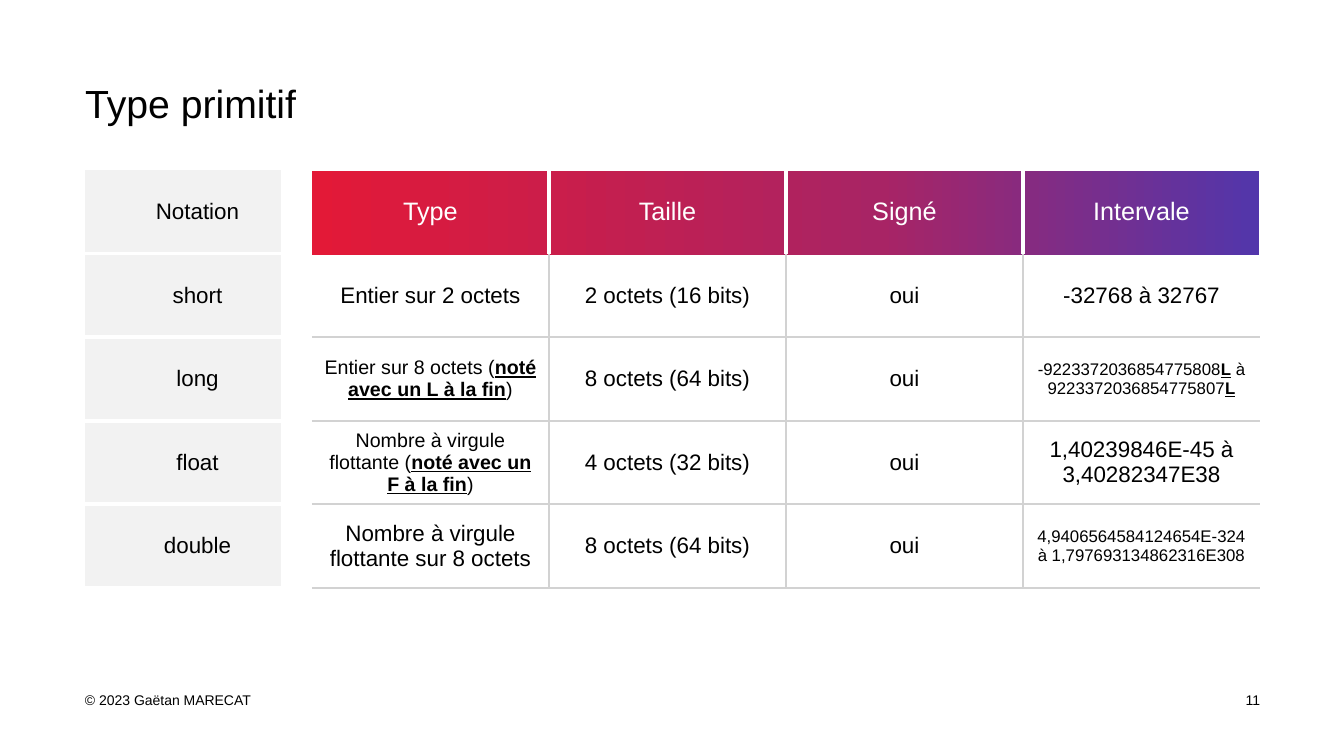
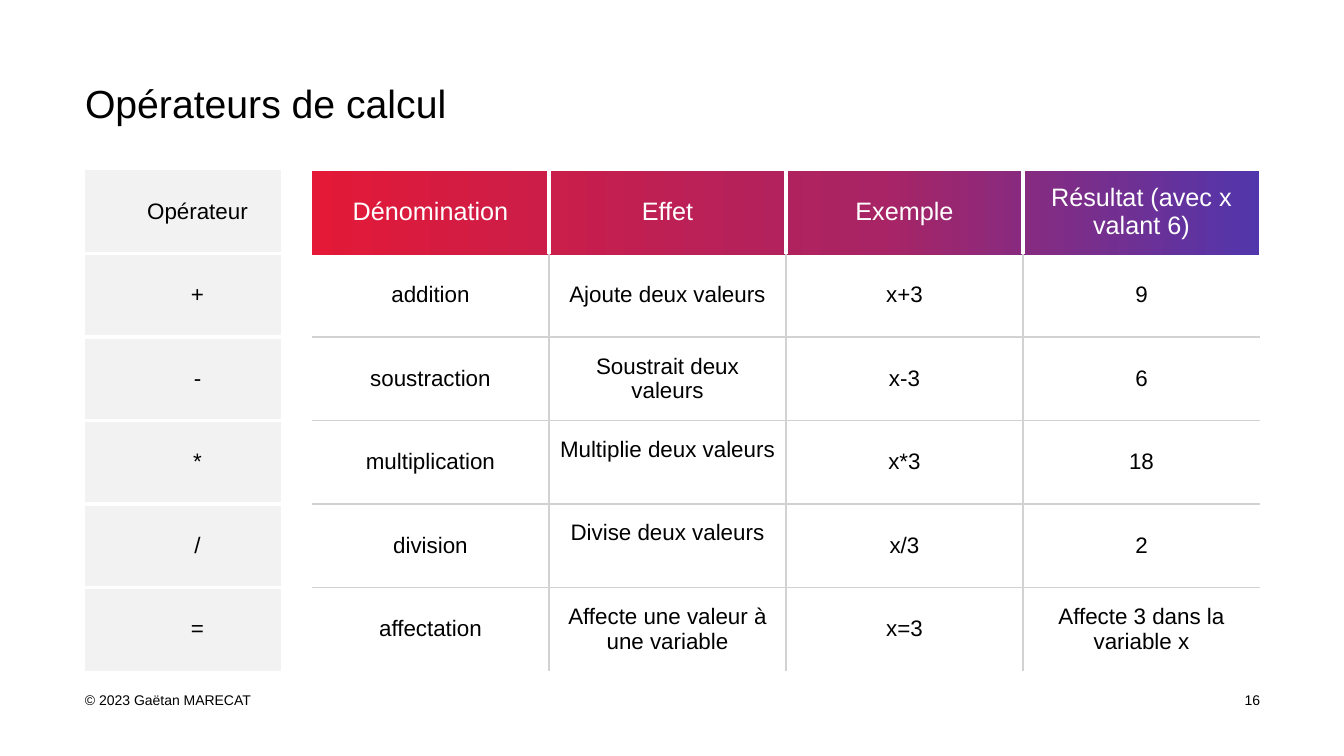
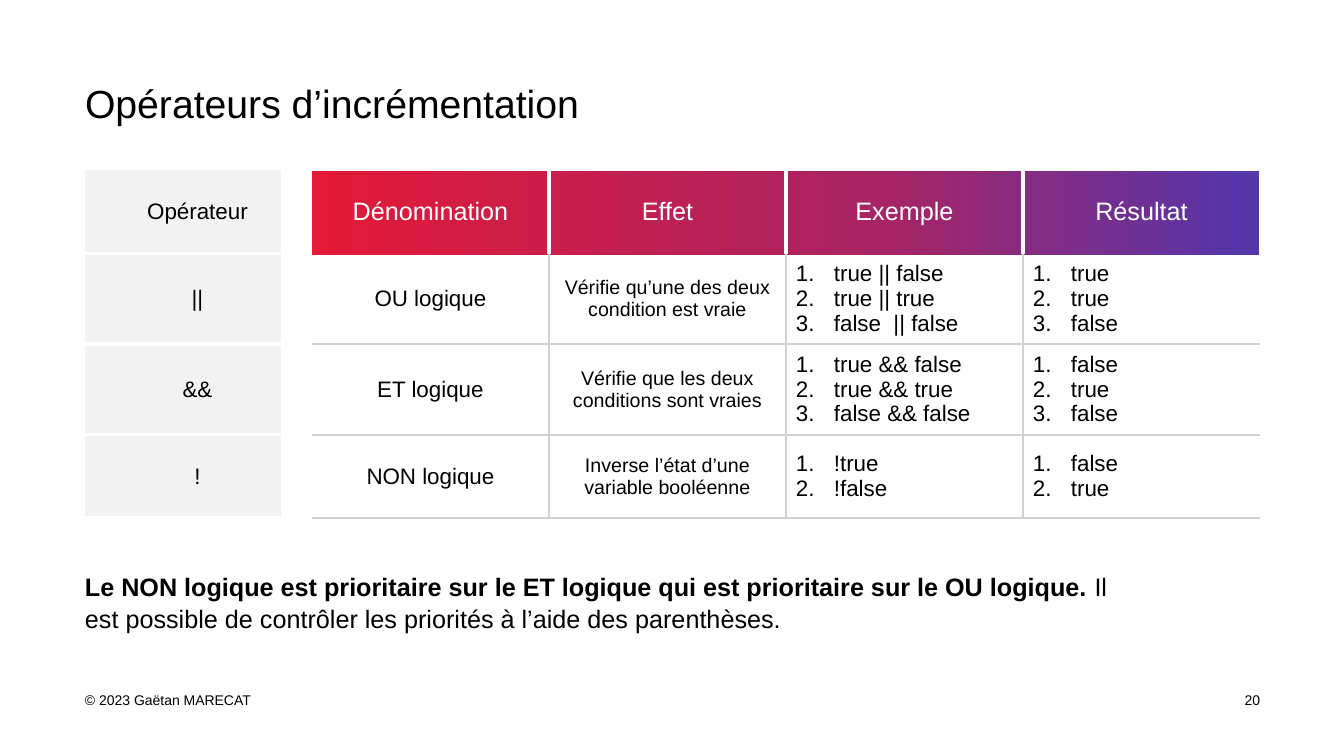
import copy
import dataclasses

import pptx
import pptx.dml.color
import pptx.enum.shapes
import pptx.enum.text
import pptx.oxml
import pptx.oxml.ns
import pptx.util
from lxml import etree

EMU_PER_PIXEL = 914400 / 100.8
ALIGN = pptx.enum.text.PP_ALIGN
ANCHOR = pptx.enum.text.MSO_ANCHOR
qn = pptx.oxml.ns.qn


@dataclasses.dataclass(frozen=True)
class Theme:
    font: str = "Arial"
    ink: str = "000000"
    paper: str = "FFFFFF"
    label_fill: str = "F2F2F2"
    rule: str = "D2D2D2"
    gradient: tuple = ((0, "E31937"), (0.6, "A82465"), (1, "5236AB"))
    title_size: int = 28
    lead_size: int = 18
    body_size: int = 16
    compact_size: int = 14
    small_size: int = 12
    footer_size: int = 10
    loose_spacing: float = 1.07
    thick: float = 3
    thin: float = 1.5


@dataclasses.dataclass(frozen=True)
class Cell:
    text: str
    size: int = Theme.body_size
    numbered: bool = False
    bottom: int = 5


def compact(text):
    return Cell(text, Theme.compact_size)


def small(text):
    return Cell(text, Theme.small_size)


def numbered(*items):
    return Cell("\n".join(items), numbered=True)


def raised(text):
    return Cell(text, bottom=30)


def px(value):
    return pptx.util.Emu(round(value * EMU_PER_PIXEL))


def rgb(value):
    return pptx.dml.color.RGBColor.from_string(value)


class Deck:
    """Draws themed elements on the current slide."""

    LEFT = 85
    TABLE_TOP = 170
    COLUMNS = (196, 31, 237, 237, 237, 237)
    TEXT_COLUMNS = (0, 2, 3, 4, 5)

    def __init__(self, theme):
        self.theme = theme
        self.presentation = pptx.Presentation()
        self.presentation.slide_width = px(1344)
        self.presentation.slide_height = px(756)
        self.slide = None

    def add_slide(self, title, number):
        theme = self.theme
        self.slide = self.presentation.slides.add_slide(self.presentation.slide_layouts[6])
        self.text((self.LEFT, 690, 212, 19), "© 2023 Gaëtan MARECAT", theme.footer_size,
                  anchor=ANCHOR.MIDDLE)
        self.text((1231, 690, 29, 19), str(number), theme.footer_size,
                  align=ALIGN.RIGHT, anchor=ANCHOR.MIDDLE)
        self.text((self.LEFT, 76, 1177, 58), title, theme.title_size,
                  spacing=theme.loose_spacing)

    def style(self, paragraph, size, color, align):
        paragraph.alignment = align
        paragraph.font.name = self.theme.font
        paragraph.font.size = pptx.util.Pt(size)
        paragraph.font.color.rgb = rgb(color)

    def add_runs(self, paragraph, text, underline):
        for index, part in enumerate(text.split("~")):
            if part:
                run = paragraph.add_run()
                run.text = part
                if index % 2:
                    run.font.bold = True
                    if underline:
                        run.font.underline = True

    def text(self, box, text, size, align=ALIGN.LEFT, anchor=ANCHOR.TOP, spacing=None):
        frame = self.slide.shapes.add_textbox(*map(px, box)).text_frame
        frame.word_wrap = True
        frame.vertical_anchor = anchor
        frame.margin_left = frame.margin_right = frame.margin_top = frame.margin_bottom = 0
        paragraph = frame.paragraphs[0]
        self.style(paragraph, size, self.theme.ink, align)
        paragraph.line_spacing = spacing
        self.add_runs(paragraph, text, underline=False)

    def header_band(self):
        shape = self.slide.shapes.add_shape(
            pptx.enum.shapes.MSO_SHAPE.RECTANGLE, *map(px, (312, 171, 947, 84)))
        shape.shadow.inherit = False
        shape.line.fill.background()
        shape.fill.gradient()
        shape.fill.gradient_angle = 0
        stops = shape._element.spPr.find(".//" + qn("a:gsLst"))
        stops.insert(1, copy.deepcopy(stops[0]))
        for stop, (position, color) in zip(shape.fill.gradient_stops, self.theme.gradient):
            stop.position = position
            stop.color.rgb = rgb(color)

    def borders(self, cell, edges):
        properties = cell._tc.get_or_add_tcPr()
        for side in "LRTB":
            line = etree.SubElement(properties, qn("a:ln" + side))
            if side in edges:
                color, width = edges[side]
                line.set("w", str(pptx.util.Pt(width)))
                fill = etree.SubElement(line, qn("a:solidFill"))
                etree.SubElement(fill, qn("a:srgbClr")).set("val", color)
            else:
                etree.SubElement(line, qn("a:noFill"))

    def edges(self, row, column, last_row, closed):
        theme = self.theme
        white, gray = (theme.paper, theme.thick), (theme.rule, theme.thin)
        label, header = column == 0, row == 0
        if column == 1:
            return {}
        below = closed or row < last_row
        if label:
            shown = {"T": row > 0, "B": below}
        else:
            shown = {"L": column > 2, "R": column < len(self.COLUMNS) - 1,
                     "T": row > 1, "B": below and not header}
        pen = white if label or header else gray
        return {side: pen for side, visible in shown.items() if visible}

    def fill_cell(self, cell, content, row, column):
        theme = self.theme
        content = content if isinstance(content, Cell) else Cell(content)
        header = row == 0 and column > 0
        cell.vertical_anchor = ANCHOR.MIDDLE
        cell.margin_left = px(39 if column == 0 else 10)
        cell.margin_right = px(10)
        cell.margin_top = px(5)
        cell.margin_bottom = px(content.bottom)
        frame = cell.text_frame
        for index, line in enumerate(content.text.split("\n")):
            paragraph = frame.add_paragraph() if index else frame.paragraphs[0]
            self.style(paragraph, theme.lead_size if header else content.size,
                       theme.paper if header else theme.ink,
                       ALIGN.LEFT if content.numbered else ALIGN.CENTER)
            if content.numbered:
                self.number(paragraph)
            self.add_runs(paragraph, line, underline=True)

    def number(self, paragraph):
        properties = paragraph._p.get_or_add_pPr()
        properties.set("marL", str(px(38)))
        properties.set("indent", str(-px(38)))
        bullet = etree.SubElement(properties, qn("a:buAutoNum"))
        bullet.set("type", "arabicPeriod")
        properties.find(qn("a:defRPr")).addprevious(bullet)

    def table(self, rows, height, closed=True):
        self.header_band()
        table = self.slide.shapes.add_table(
            len(rows), len(self.COLUMNS), px(self.LEFT), px(self.TABLE_TOP),
            px(sum(self.COLUMNS)), px(height)).table
        table.first_row = table.horz_banding = False
        for column, width in zip(table.columns, self.COLUMNS):
            column.width = px(width)
        for row, contents in enumerate(rows):
            table.rows[row].height = px(height / len(rows))
            for column in range(len(self.COLUMNS)):
                cell = table.cell(row, column)
                self.borders(cell, self.edges(row, column, len(rows) - 1, closed))
                if column == 0:
                    cell.fill.solid()
                    cell.fill.fore_color.rgb = rgb(self.theme.label_fill)
                else:
                    cell.fill.background()
            for column, content in zip(self.TEXT_COLUMNS, contents):
                self.fill_cell(table.cell(row, column), content, row, column)


deck = Deck(Theme())

deck.add_slide("Type primitif", 11)
deck.table([
    ("Notation", "Type", "Taille", "Signé", "Intervale"),
    ("short", "Entier sur 2 octets", "2 octets (16 bits)", "oui", "-32768 à 32767"),
    ("long", compact("Entier sur 8 octets (~noté avec un L à la fin~)"),
     "8 octets (64 bits)", "oui",
     small("-9223372036854775808~L~ à 9223372036854775807~L~")),
    ("float", compact("Nombre à virgule flottante (~noté avec un F à la fin~)"),
     "4 octets (32 bits)", "oui", "1,40239846E-45 à 3,40282347E38"),
    ("double", "Nombre à virgule flottante sur 8 octets", "8 octets (64 bits)", "oui",
     small("4,9406564584124654E-324 à 1,797693134862316E308")),
], height=418)

deck.add_slide("Opérateurs de calcul", 16)
deck.table([
    ("Opérateur", "Dénomination", "Effet", "Exemple", "Résultat (avec x valant 6)"),
    ("+", "addition", "Ajoute deux valeurs", "x+3", "9"),
    ("-", "soustraction", "Soustrait deux valeurs", "x-3", "6"),
    ("*", "multiplication", raised("Multiplie deux valeurs"), "x*3", "18"),
    ("/", "division", raised("Divise deux valeurs"), "x/3", "2"),
    ("=", "affectation", "Affecte une valeur à une variable", "x=3",
     "Affecte 3 dans la variable x"),
], height=501, closed=False)

deck.add_slide("Opérateurs d’incrémentation", 20)
deck.table([
    ("Opérateur", "Dénomination", "Effet", "Exemple", "Résultat"),
    ("||", "OU logique", compact("Vérifie qu’une des deux condition est vraie"),
     numbered("true || false", "true || true", "false  || false"),
     numbered("true", "true", "false")),
    ("&&", "ET logique", compact("Vérifie que les deux conditions sont vraies"),
     numbered("true && false", "true && true", "false && false"),
     numbered("false", "true", "false")),
    ("!", "NON logique", compact("Inverse l’état d’une variable booléenne"),
     numbered("!true", "!false"), numbered("false", "true")),
], height=334)
deck.text((Deck.LEFT, 569, 1061, 83),
          "~Le NON logique est prioritaire sur le ET logique qui est prioritaire sur le OU"
          " logique. ~Il est possible de contrôler les priorités à l’aide des parenthèses.",
          Theme.lead_size, spacing=Theme.loose_spacing)

deck.presentation.save("out.pptx")
